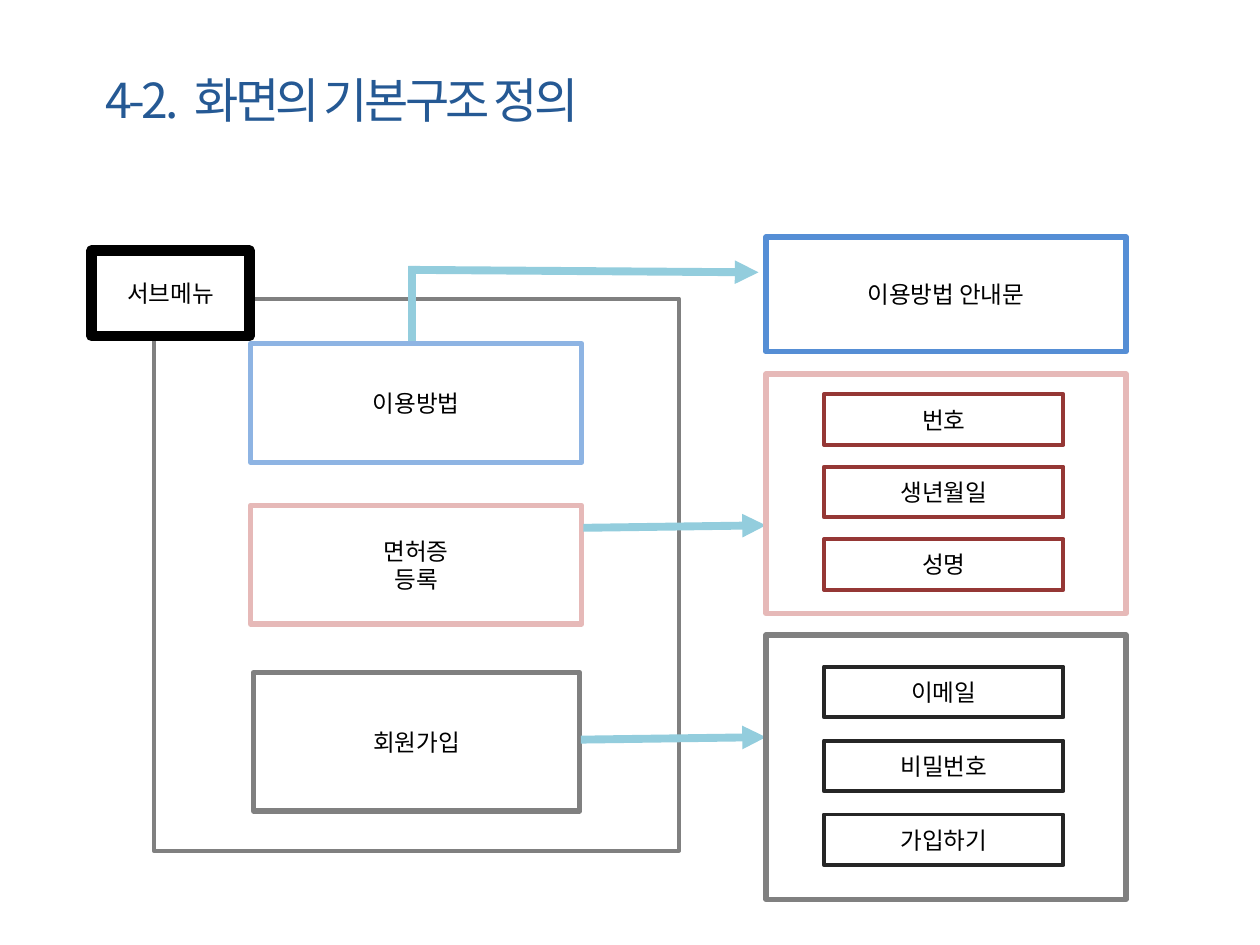
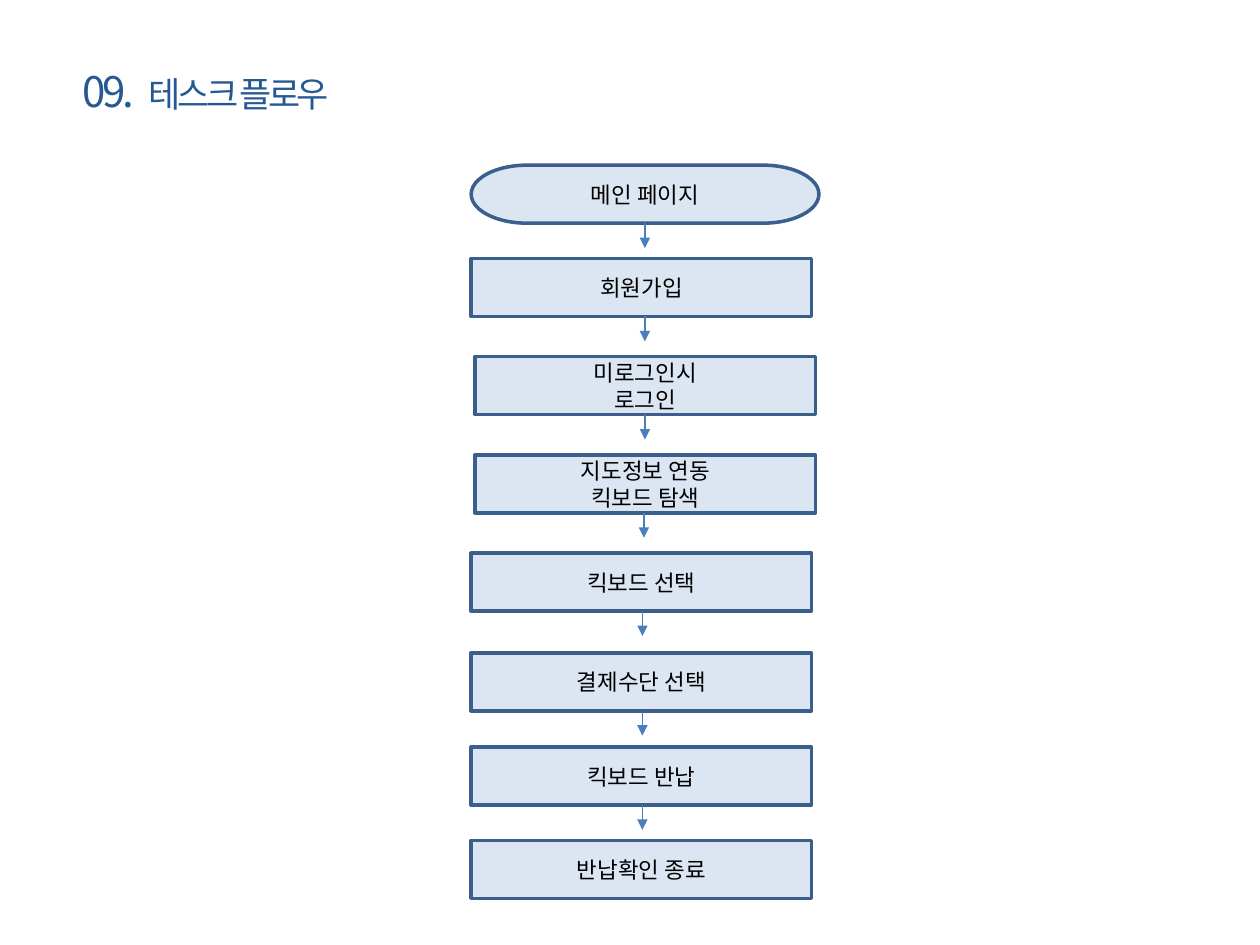
from pptx import Presentation
from pptx import util as u
from pptx.dml.color import RGBColor
from pptx.enum import shapes, text
from pptx.oxml.ns import qn
from lxml import etree

FONT = "Noto Sans CJK KR"
WHITE = RGBColor(0xFF, 0xFF, 0xFF)
BLACK = RGBColor(0x00, 0x00, 0x00)
TITLE_BLUE = RGBColor(0x25, 0x59, 0x94)
GRAY = RGBColor(0x80, 0x80, 0x80)
CHARCOAL = RGBColor(0x26, 0x26, 0x26)
PINK = RGBColor(0xE6, 0xB9, 0xB8)
DARK_RED = RGBColor(0x95, 0x37, 0x35)
LIGHT_BLUE = RGBColor(0x8E, 0xB4, 0xE3)
BLUE = RGBColor(0x55, 0x8E, 0xD5)
AQUA = RGBColor(0x93, 0xCD, 0xDD)
STEP_FILL = RGBColor(0xDC, 0xE6, 0xF2)
STEP_LINE = RGBColor(0x3A, 0x5F, 0x8C)
STEP_ARROW = RGBColor(0x4B, 0x7E, 0xBC)

RECTANGLE = shapes.MSO_SHAPE.RECTANGLE
TERMINATOR = shapes.MSO_SHAPE.FLOWCHART_TERMINATOR
MIDDLE = text.MSO_ANCHOR.MIDDLE
STEP_HEIGHT = 1.17


def cm(values):
    return [u.Cm(value) for value in values]


def set_font(paragraph, size, color):
    font = paragraph.font
    font.name = FONT
    font.size = u.Pt(size)
    font.color.rgb = color
    latin = paragraph._p.find(".//" + qn("a:latin"))
    east_asian = etree.Element(qn("a:ea"), typeface=FONT)
    latin.addnext(east_asian)


def add_title(slide, place, number, title, number_size, title_size, anchor):
    frame = slide.shapes.add_textbox(*cm(place)).text_frame
    frame.word_wrap = True
    frame.vertical_anchor = anchor
    paragraph = frame.paragraphs[0]
    set_font(paragraph, number_size, TITLE_BLUE)
    parts = [(number, number_size, -200), (" ", number_size, 300), (title, title_size, -200)]
    for words, size, spacing in parts:
        run = paragraph.add_run()
        run.text = words
        run.font.size = u.Pt(size)
        run._r.get_or_add_rPr().set("spc", str(spacing))


def add_box(slide, place, line_color, line_width, label="", size=13.5,
            fill=WHITE, kind=RECTANGLE):
    shape = slide.shapes.add_shape(kind, *cm(place))
    shape.shadow.inherit = False
    shape.fill.solid()
    shape.fill.fore_color.rgb = fill
    shape.line.color.rgb = line_color
    shape.line.width = u.Pt(line_width)
    if label:
        frame = shape.text_frame
        frame.word_wrap = True
        frame.vertical_anchor = MIDDLE
        frame.text = label
        for paragraph in frame.paragraphs:
            paragraph.alignment = text.PP_ALIGN.CENTER
            set_font(paragraph, size, BLACK)


def add_line(slide, ends, color, width, arrow=True):
    connector = slide.shapes.add_connector(shapes.MSO_CONNECTOR.STRAIGHT, *cm(ends))
    connector.line.color.rgb = color
    connector.line.width = u.Pt(width)
    if arrow:
        etree.SubElement(connector.line._get_or_add_ln(), qn("a:tailEnd"), type="triangle")
    etree.SubElement(connector._element.spPr, qn("a:effectLst"))


def add_fields(slide, top, step, color, labels):
    for index, label in enumerate(labels):
        add_box(slide, (16.61, top + index * step, 4.83, 1.02), color, 2.25, label)


def build_structure(slide):
    add_title(slide, (1.88, 1.3, 20.4, 1.42), "4-2.", "화면의 기본구조 정의", 27.5, 27.5, MIDDLE)
    add_box(slide, (3.1, 6.02, 10.59, 11.13), GRAY, 2.25)
    add_box(slide, (1.85, 5.05, 3.18, 1.73), BLACK, 6, "서브메뉴")
    add_box(slide, (5.05, 6.93, 6.68, 2.39), LIGHT_BLUE, 3, "이용방법")
    add_box(slide, (5.05, 10.19, 6.68, 2.39), PINK, 3, "면허증\n등록")
    add_box(slide, (5.11, 13.56, 6.58, 2.79), GRAY, 3, "회원가입")

    add_line(slide, (11.76, 10.64, 15.44, 10.59), AQUA, 4.5)
    add_line(slide, (11.71, 14.91, 15.44, 14.86), AQUA, 4.5)
    add_line(slide, (8.23, 5.44, 15.29, 5.49), AQUA, 4.5)
    add_line(slide, (8.31, 5.36, 8.31, 6.88), AQUA, 4.5, arrow=False)

    add_box(slide, (15.44, 4.78, 7.26, 2.31), BLUE, 3, "이용방법 안내문")
    add_box(slide, (15.44, 7.54, 7.26, 4.83), PINK, 3)
    add_box(slide, (15.44, 12.8, 7.26, 5.33), GRAY, 3)
    add_fields(slide, 7.95, 1.46, DARK_RED, ["번호", "생년월일", "성명"])
    add_fields(slide, 13.44, 1.49, CHARCOAL, ["이메일", "비밀번호", "가입하기"])


def build_task_flow(slide):
    add_title(slide, (1.42, 1.19, 21.08, 1.27), "09.", "테스크 플로우", 24, 20,
              text.MSO_ANCHOR.TOP)
    steps = [
        ("메인 페이지", 9.5, 3.33, 13),
        ("회원가입", 9.5, 5.21, 13),
        ("미로그인시\n로그인", 9.58, 7.19, 13),
        ("지도정보 연동\n킥보드 탐색", 9.58, 9.17, 12.98),
        ("킥보드 선택", 9.5, 11.15, 12.95),
        ("결제수단 선택", 9.5, 13.16, 12.95),
        ("킥보드 반납", 9.5, 15.06, 12.95),
        ("반납확인 종료", 9.5, 16.94, None),
    ]
    for index, (label, left, top, arrow_x) in enumerate(steps):
        kind, width = (RECTANGLE, 6.86) if index else (TERMINATOR, 7.01)
        add_box(slide, (left, top, width, STEP_HEIGHT), STEP_LINE, 2, label, 12.8,
                STEP_FILL, kind)
        if arrow_x:
            bottom = top + STEP_HEIGHT
            add_line(slide, (arrow_x, bottom, arrow_x, bottom + 0.5), STEP_ARROW, 0.75)


def main():
    presentation = Presentation()
    presentation.slide_width = u.Cm(25.4)
    presentation.slide_height = u.Cm(19.05)
    blank = presentation.slide_layouts[6]
    for build in (build_structure, build_task_flow):
        build(presentation.slides.add_slide(blank))
    presentation.save("out.pptx")


if __name__ == "__main__":
    main()
